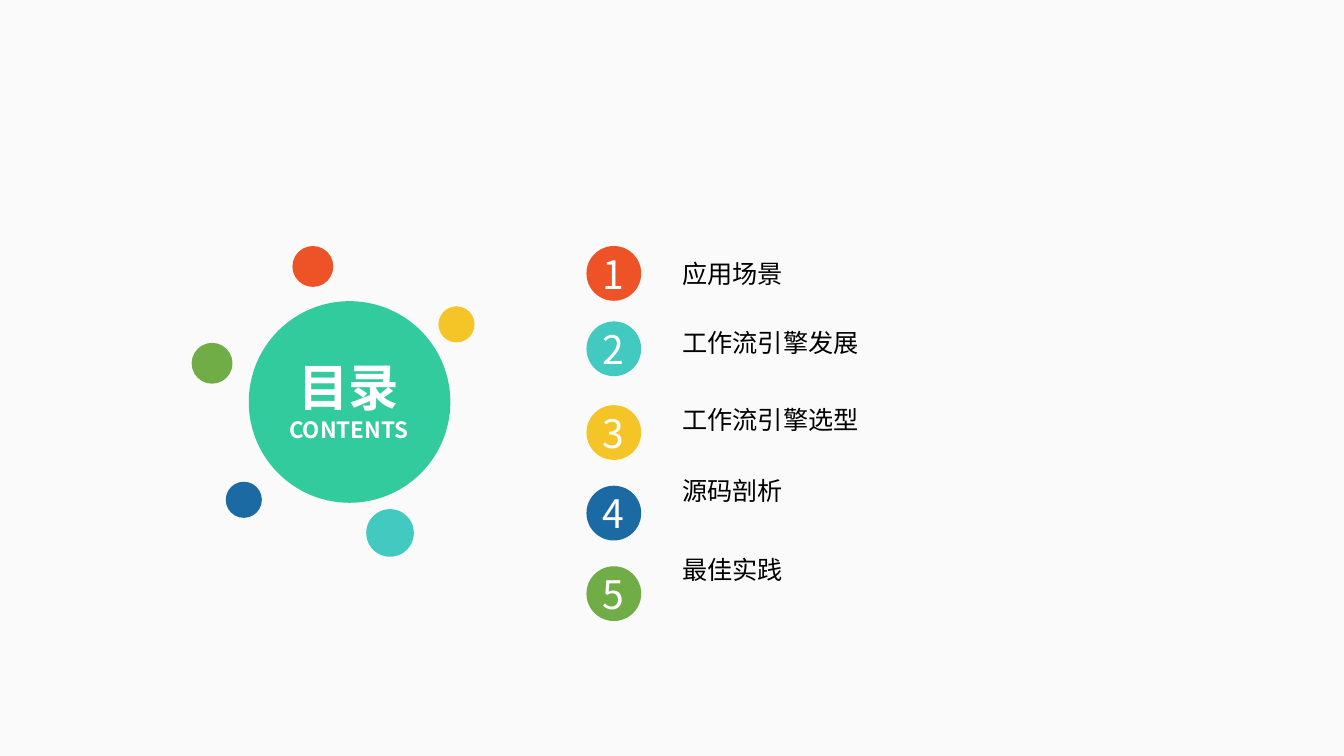
from typing import NamedTuple

from lxml import etree
from pptx import Presentation
from pptx.dml.color import RGBColor
from pptx.enum.shapes import MSO_SHAPE
from pptx.enum.text import MSO_ANCHOR, MSO_AUTO_SIZE, PP_ALIGN
from pptx.oxml.ns import qn
from pptx.util import Cm, Pt

OVAL = MSO_SHAPE.OVAL
CENTER, LEFT = PP_ALIGN.CENTER, PP_ALIGN.LEFT
TOP, MIDDLE = MSO_ANCHOR.TOP, MSO_ANCHOR.MIDDLE
NO_AUTOFIT = MSO_AUTO_SIZE.NONE

HEADING_FONT = "Noto Sans CJK SC"
LIST_FONT = "Noto Sans CJK TC"
RED, TEAL, YELLOW, BLUE, GREEN = "ED5326", "42CAC0", "F5C527", "1B6AA3", "70AD47"
MINT, WHITE, BLACK, PAPER = "32CB9D", "FFFFFF", "000000", "FAFAFA"

BADGE_LEFT, BADGE_SIZE = 14.78, 1.38


class Disc(NamedTuple):
    left: float
    top: float
    size: float
    color: str


class Chapter(NamedTuple):
    name: str
    color: str
    badge_top: float
    gap_before: float


HUB = Disc(6.27, 7.59, 5.08, MINT)
SATELLITES = [
    Disc(7.37, 6.2, 1.03, RED),
    Disc(11.05, 7.72, 0.91, YELLOW),
    Disc(5.69, 12.14, 0.91, BLUE),
    Disc(4.83, 8.64, 1.03, GREEN),
    Disc(9.23, 12.83, 1.2, TEAL),
]
CHAPTERS = [
    Chapter("应用场景", RED, 6.2, 0),
    Chapter("工作流引擎发展", TEAL, 8.1, 28),
    Chapter("工作流引擎选型", YELLOW, 10.21, 33),
    Chapter("源码剖析", BLUE, 12.24, 29.5),
    Chapter("最佳实践", GREEN, 14.27, 34.5),
]


def rgb(color: str) -> RGBColor:
    return RGBColor.from_string(color)


def style_paragraph(para, font: str, size: float, color: str, align, bold=False) -> None:
    para.alignment = align
    para.line_spacing = 1.0
    para.font.name = font
    para.font.size = Pt(size)
    para.font.bold = bold
    para.font.color.rgb = rgb(color)
    defaults = para._p.get_or_add_pPr().find(qn("a:defRPr"))
    etree.SubElement(defaults, qn("a:ea"), typeface=font)


def place(box, left: float, top: float, width: float, height: float) -> None:
    box.left, box.top = Cm(left), Cm(top)
    box.width, box.height = Cm(width), Cm(height)
    box.text_frame.auto_size = NO_AUTOFIT
    box.text_frame.vertical_anchor = TOP


def draw_disc(page, disc: Disc):
    shape = page.shapes.add_shape(
        OVAL, Cm(disc.left), Cm(disc.top), Cm(disc.size), Cm(disc.size))
    shape.shadow.inherit = False
    shape.fill.solid()
    shape.fill.fore_color.rgb = rgb(disc.color)
    shape.line.fill.background()
    return shape


def draw_badge(page, number: int, chapter: Chapter) -> None:
    badge = draw_disc(page, Disc(BADGE_LEFT, chapter.badge_top, BADGE_SIZE, chapter.color))
    frame = badge.text_frame
    frame.margin_left = frame.margin_right = frame.margin_top = frame.margin_bottom = 0
    frame.word_wrap = False
    frame.vertical_anchor = MIDDLE
    frame.text = str(number)
    style_paragraph(frame.paragraphs[0], HEADING_FONT, 28, WHITE, CENTER)


def fill_title(page) -> None:
    title = page.shapes.title
    place(title, 5.97, 8.84, 5.64, 2.49)
    title.text_frame.text = "目录\nCONTENTS"
    for para, size in zip(title.text_frame.paragraphs, (36, 16)):
        style_paragraph(para, HEADING_FONT, size, WHITE, CENTER, bold=True)
    page.shapes._spTree.append(title._element)  # bring in front of the hub


def fill_chapter_list(page) -> None:
    body = page.placeholders[1]
    place(body, 16.94, 6.38, 6, 9.1)
    body.text_frame.text = "\n".join(chapter.name for chapter in CHAPTERS)
    for para, chapter in zip(body.text_frame.paragraphs, CHAPTERS):
        properties = para._p.get_or_add_pPr()
        properties.set("marL", "0")
        properties.set("indent", "0")
        etree.SubElement(properties, qn("a:buNone"))
        para.space_before = Pt(chapter.gap_before)
        style_paragraph(para, LIST_FONT, 18, BLACK, LEFT)


def main() -> None:
    deck = Presentation()
    deck.slide_width, deck.slide_height = Cm(33.87), Cm(19.05)
    page = deck.slides.add_slide(deck.slide_layouts[1])
    page.background.fill.solid()
    page.background.fill.fore_color.rgb = rgb(PAPER)

    for disc in [HUB, *SATELLITES]:
        draw_disc(page, disc)
    fill_title(page)
    for number, chapter in enumerate(CHAPTERS, start=1):
        draw_badge(page, number, chapter)
    fill_chapter_list(page)
    deck.save("out.pptx")


if __name__ == "__main__":
    main()
